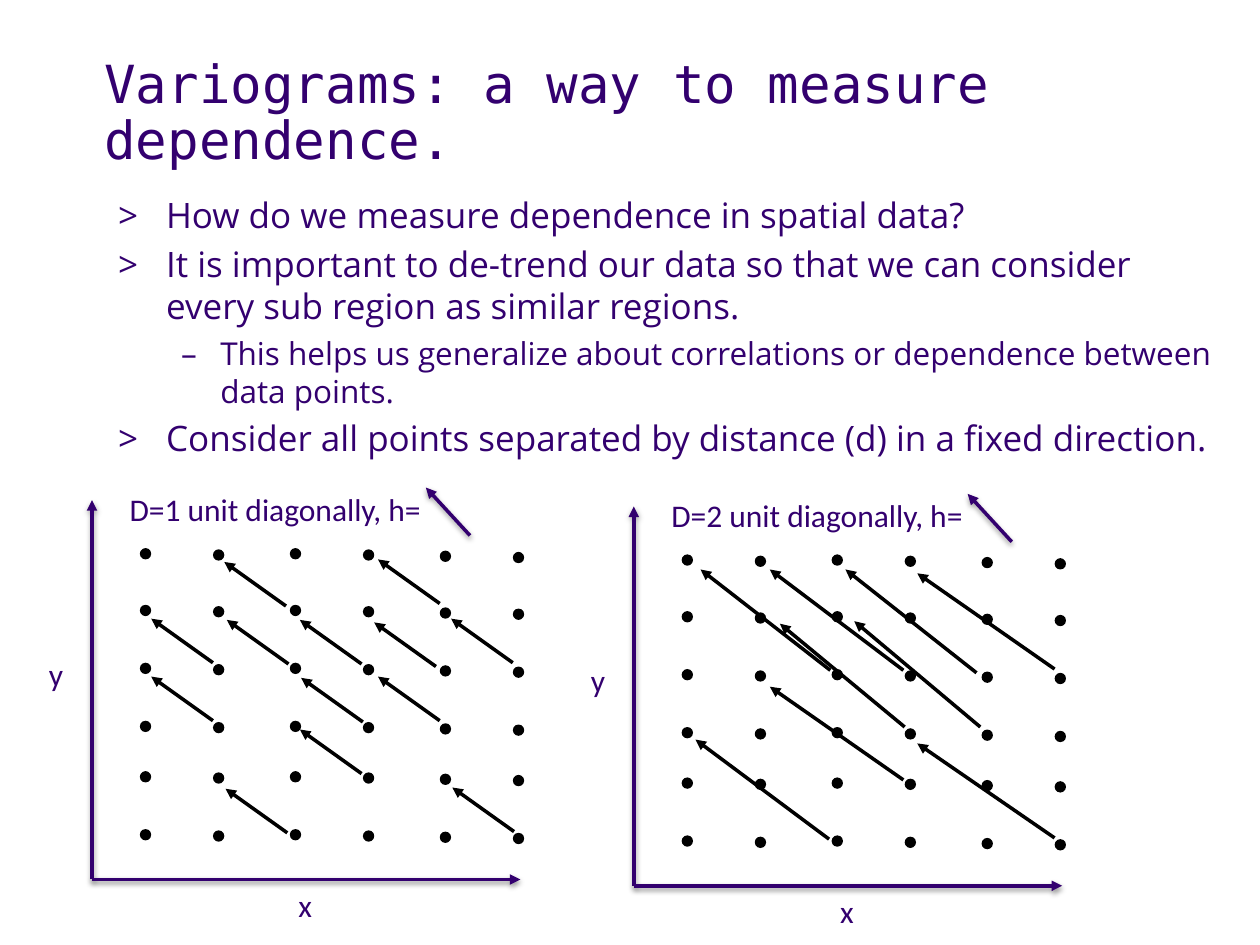
from lxml import etree
from pptx import Presentation
from pptx.dml.color import RGBColor
from pptx.enum.shapes import MSO_CONNECTOR, MSO_SHAPE
from pptx.enum.text import MSO_ANCHOR, MSO_AUTO_SIZE, PP_ALIGN
from pptx.oxml.ns import qn
from pptx.util import Inches, Pt

STRAIGHT = MSO_CONNECTOR.STRAIGHT
ELLIPSE = MSO_SHAPE.OVAL
TOP = MSO_ANCHOR.TOP
LEFT = PP_ALIGN.LEFT
GROW = MSO_AUTO_SIZE.SHAPE_TO_FIT_TEXT

COLORS = {"purple": "33006F", "black": "000000"}
TITLE_FONT, BODY_FONT, LABEL_FONT = "DejaVu Sans Mono", "Open Sans", "Calibri"

# level: (size, left margin, hanging indent, bullet)
LEVELS = {0: (20, 0.38, 0.38, ">"), 1: (18, 0.81, 0.31, "–")}
POINTS = [
    (0, "How do we measure dependence in spatial data?"),
    (0, "It is important to de-trend our data so that we can consider "
        "every sub region as similar regions."),
    (1, "This helps us generalize about correlations or dependence "
        "between data points."),
    (0, "Consider all points separated by distance (d) in a fixed direction."),
]

DOT = 0.09
# left edge of each column, with how far the column sits below its row
COLUMNS = [(1.11, 0), (1.69, 0.01), (2.3, 0), (2.88, 0.01), (3.49, 0.02), (4.07, 0.03)]
ROWS = [4.35, 4.8, 5.26, 5.72, 6.12, 6.58]

ONE_UNIT = (-0.49, -0.35)
ONE_UNIT_STARTS = [
    (4.07, 5.26), (3.46, 5.29), (2.87, 5.27), (2.29, 5.27), (2.88, 5.73),
    (1.69, 5.26), (3.49, 4.79), (4.08, 6.6), (2.28, 6.61), (2.27, 4.81),
    (1.69, 5.72), (3.49, 5.72), (2.87, 6.14),
]
TWO_UNIT_ARROWS = [
    ((8.37, 5.31), (7.28, 4.55)), ((7.75, 5.34), (6.71, 4.52)),
    ((7.17, 5.32), (6.11, 4.52)), ((6.59, 5.32), (5.56, 4.52)),
    ((7.18, 5.77), (6.19, 4.95)), ((8.37, 6.65), (7.28, 5.9)),
    ((6.58, 6.66), (5.52, 5.87)), ((7.78, 5.77), (6.78, 4.93)),
    ((7.17, 6.19), (6.11, 5.45)),
]


def rgb(name):
    return RGBColor.from_string(COLORS[name])


def add_text_box(slide, left, top, width, height, wrap=True):
    box = slide.shapes.add_textbox(*map(Inches, (left, top, width, height)))
    box.text_frame.word_wrap = wrap
    box.text_frame.vertical_anchor = TOP
    return box.text_frame


def write(paragraph, text, size, font):
    paragraph.alignment = LEFT
    run = paragraph.add_run()
    run.text = text
    for name, value in {"size": Pt(size), "name": font}.items():
        setattr(run.font, name, value)
    run.font.color.rgb = rgb("purple")


def add_title(slide):
    heading = add_text_box(slide, 0.73, 0.41, 8.95, 1.08).paragraphs[0]
    heading.line_spacing = 0.9
    write(heading, "Variograms: a way to measure dependence.", 30, TITLE_FONT)


def add_bullets(slide):
    frame = add_text_box(slide, 0.84, 1.49, 8.96, 2.4)
    for index, (level, text) in enumerate(POINTS):
        size, margin, hanging, bullet = LEVELS[level]
        point = frame.add_paragraph() if index else frame.paragraphs[0]
        point.level = level
        if index:
            point.space_before = Pt(4)
        write(point, text, size, BODY_FONT)
        properties = point._p.get_or_add_pPr()
        properties.set("marL", str(Inches(margin)))
        properties.set("indent", str(-Inches(hanging)))
        etree.SubElement(properties, qn("a:buFont"), typeface=BODY_FONT)
        etree.SubElement(properties, qn("a:buChar"), char=bullet)


def add_label(slide, text, left, top, width):
    frame = add_text_box(slide, left, top, width, 0.4, wrap=False)
    frame.auto_size = GROW
    write(frame.paragraphs[0], text, 18, LABEL_FONT)


def add_arrow(slide, start, end, color="black", shadow=False):
    arrow = slide.shapes.add_connector(STRAIGHT, *map(Inches, (*start, *end)))
    arrow.line.width = Pt(2)
    arrow.line.color.rgb = rgb(color)
    etree.SubElement(arrow.line._get_or_add_ln(), qn("a:tailEnd"), type="triangle")
    effects = etree.SubElement(arrow._element.spPr, qn("a:effectLst"))
    if shadow:
        outer = etree.SubElement(effects, qn("a:outerShdw"), blurRad=str(Pt(3.1)),
                                 dist=str(Pt(1.6)), dir="5400000", rotWithShape="0")
        tint = etree.SubElement(outer, qn("a:srgbClr"), val=COLORS["black"])
        etree.SubElement(tint, qn("a:alpha"), val="38000")


def add_dot(slide, left, top):
    dot = slide.shapes.add_shape(ELLIPSE, *map(Inches, (left, top, DOT, DOT)))
    dot.shadow.inherit = False
    dot.fill.solid()
    dot.fill.fore_color.rgb = rgb("black")
    dot.line.fill.background()


def add_panel(slide, distance, dx, dy, pairs):
    """Draw one lag diagram, moved by (dx, dy) from the left-hand one."""
    def at(x, y):
        return x + dx, y + dy

    origin = at(0.73, 6.98)
    for axis_end in (at(0.73, 3.97), at(4.13, 6.98)):
        add_arrow(slide, origin, axis_end, "purple", shadow=True)
    add_label(slide, "y", *at(0.29, 5.15), 0.32)
    add_label(slide, "x", *at(2.27, 6.98), 0.32)
    for row in ROWS:
        for left, drop in COLUMNS:
            add_dot(slide, *at(left, row + drop))
    add_label(slide, f"D={distance} unit diagonally, h=", *at(0.93, 3.84), 2.6)
    add_arrow(slide, at(3.73, 4.25), at(3.38, 3.87), "purple", shadow=True)
    for start, end in pairs:
        add_arrow(slide, start, end)


def main():
    deck = Presentation()
    deck.slide_width, deck.slide_height = Inches(10), Inches(7.5)
    slide = deck.slides.add_slide(deck.slide_layouts[6])
    add_title(slide)
    add_bullets(slide)
    one_unit_arrows = [((x, y), (x + ONE_UNIT[0], y + ONE_UNIT[1]))
                       for x, y in ONE_UNIT_STARTS]
    add_panel(slide, 1, 0, 0, one_unit_arrows)
    add_panel(slide, 2, 4.3, 0.05, TWO_UNIT_ARROWS)
    deck.save("out.pptx")


if __name__ == "__main__":
    main()
